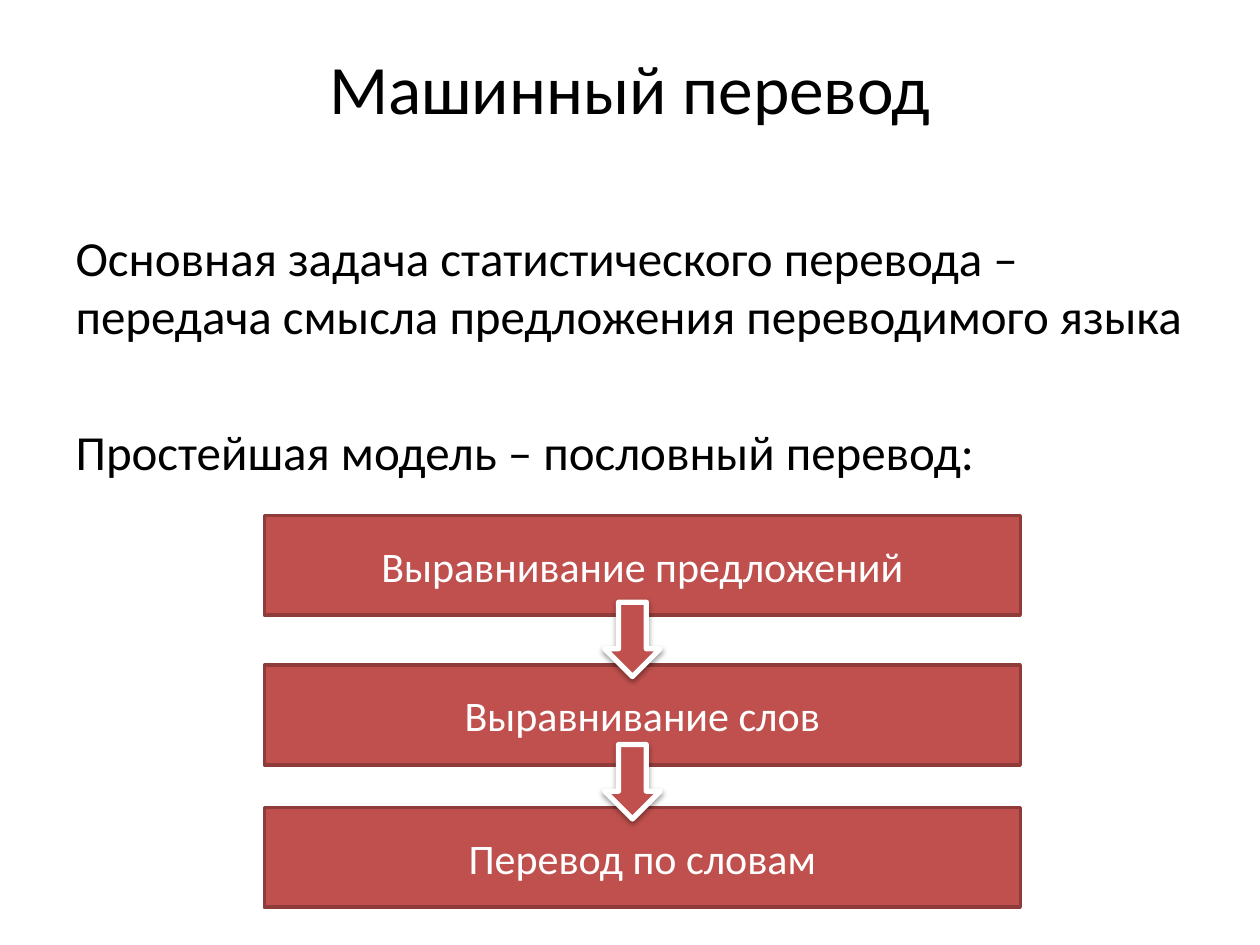
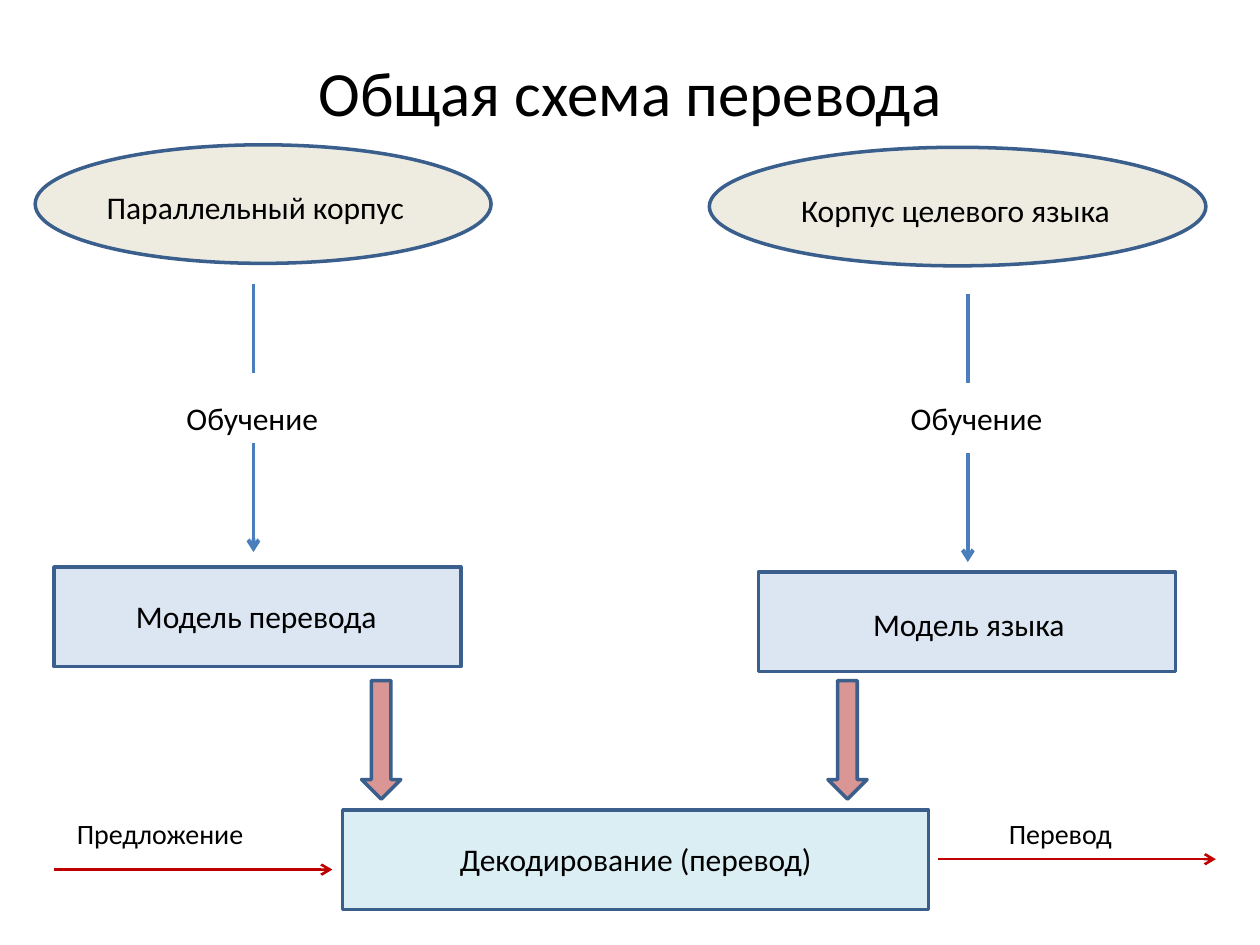
"""Builds two slides on statistical machine translation."""
from dataclasses import dataclass

from lxml import etree
from pptx import Presentation
from pptx.dml.color import RGBColor
from pptx.enum.shapes import MSO_CONNECTOR, MSO_SHAPE
from pptx.enum.text import MSO_ANCHOR, MSO_AUTO_SIZE, PP_ALIGN
from pptx.oxml.ns import qn
from pptx.util import Cm, Pt

RECTANGLE, ELLIPSE, DOWN_ARROW = MSO_SHAPE.RECTANGLE, MSO_SHAPE.OVAL, MSO_SHAPE.DOWN_ARROW
STRAIGHT = MSO_CONNECTOR.STRAIGHT
CENTER, LEFT = PP_ALIGN.CENTER, PP_ALIGN.LEFT
MIDDLE, TOP = MSO_ANCHOR.MIDDLE, MSO_ANCHOR.TOP
NO_AUTOFIT = MSO_AUTO_SIZE.NONE
TITLE_AND_BODY, TITLE_ONLY = 1, 5


@dataclass(frozen=True)
class Theme:
    """Colours, font and type sizes of the deck."""
    font: str = "Calibri"
    black: str = "000000"
    white: str = "FFFFFF"
    step: str = "C0504D"
    step_line: str = "8E3B39"
    corpus: str = "EEECE1"
    model: str = "DCE6F2"
    decoder: str = "DBEEF4"
    block_arrow: str = "D99694"
    outline: str = "3A5F8C"
    training: str = "4B7EBC"
    stream: str = "C00000"
    body_size: float = 28
    step_size: float = 24
    label_size: float = 18
    stream_size: float = 16


THEME = Theme()

WORD_MODEL = {
    "title": ("Машинный перевод", 39.6, 1.96),
    "body": [
        ("Основная задача статистического перевода – "
         "передача смысла предложения переводимого языка", 5.6),
        ("Простейшая модель – пословный перевод:", 44),
    ],
    "steps": [
        ("Выравнивание предложений", 10.39),
        ("Выравнивание слов", 13.41),
        ("Перевод по словам", 16.28),
    ],
}

SCHEME = {
    "title": ("Общая схема перевода", 36, 2.16),
    "nodes": [
        (ELLIPSE, THEME.corpus, (0.71, 2.92, 9.19, 2.39)),
        (ELLIPSE, THEME.corpus, (14.3, 2.97, 10.01, 2.39)),
        (RECTANGLE, THEME.model, (1.09, 11.43, 8.2, 2.01)),
        (RECTANGLE, THEME.model, (15.29, 11.53, 8.41, 2.01)),
        (RECTANGLE, THEME.decoder, (6.91, 16.33, 11.81, 2.01)),
        (DOWN_ARROW, THEME.block_arrow, (7.29, 13.72, 0.79, 2.39)),
        (DOWN_ARROW, THEME.block_arrow, (16.69, 13.72, 0.79, 2.39)),
    ],
    "labels": [
        ("Параллельный корпус", 1.9, 3.66, 6.58),
        ("Корпус целевого языка", 15.9, 3.73, 6.81),
        ("Обучение", 3.51, 7.92, 3.2),
        ("Обучение", 18.11, 7.92, 3.2),
        ("Модель перевода", 2.49, 11.91, 5.41),
        ("Модель языка", 17.35, 12.07, 4.42),
        ("Декодирование (перевод)", 9.02, 16.81, 7.7),
    ],
    "training": [(5.11, 5.72), (19.51, 5.92)],
    "streams": [
        ("Предложение", 1.3, 3.91, 1.09, 17.53),
        ("Перевод", 20.09, 2.62, 18.9, 17.32),
    ],
}


def style_text(frame, size, color=THEME.black, align=LEFT, anchor=TOP):
    """Formats every run of a text frame."""
    frame.vertical_anchor = anchor
    for para in frame.paragraphs:
        para.alignment = align
        for span in para.runs:
            span.font.name = THEME.font
            span.font.size = Pt(size)
            span.font.color.rgb = RGBColor.from_string(color)


def place(shape, left, top, width, height):
    """Moves and sizes a shape, in centimetres."""
    shape.left, shape.top = Cm(left), Cm(top)
    shape.width, shape.height = Cm(width), Cm(height)


def add_page(deck, layout, title):
    """Adds a page with a formatted title."""
    text, size, height = title
    page = deck.slides.add_slide(deck.slide_layouts[layout])
    place(page.shapes.title, 1.27, 0.76, 22.86, height)
    frame = page.shapes.title.text_frame
    frame.text = text
    frame.auto_size = NO_AUTOFIT
    style_text(frame, size, align=CENTER, anchor=MIDDLE)
    return page


def add_node(page, kind, bounds, fill, line, line_width=2):
    """Adds a filled and outlined shape without a shadow."""
    node = page.shapes.add_shape(kind, *map(Cm, bounds))
    node.shadow.inherit = False
    node.fill.solid()
    node.fill.fore_color.rgb = RGBColor.from_string(fill)
    node.line.color.rgb = RGBColor.from_string(line)
    node.line.width = Pt(line_width)
    return node


def add_soft_shadow(shape):
    """Gives a shape a soft shadow falling downwards."""
    effects = shape._element.spPr.find(qn("a:effectLst"))
    shadow = etree.SubElement(effects, qn("a:outerShdw"), blurRad="40000",
                              dist="20000", dir="5400000", rotWithShape="0")
    color = etree.SubElement(shadow, qn("a:srgbClr"), val=THEME.black)
    etree.SubElement(color, qn("a:alpha"), val="38000")


def add_line(page, start, end, color, width, arrow=True):
    """Adds a straight line, with an open arrowhead if wanted."""
    line = page.shapes.add_connector(STRAIGHT, *map(Cm, start + end))
    line.line.color.rgb = RGBColor.from_string(color)
    line.line.width = Pt(width)
    properties = line._element.spPr
    if arrow:
        etree.SubElement(properties.find(qn("a:ln")), qn("a:tailEnd"), type="arrow")
    etree.SubElement(properties, qn("a:effectLst"))


def add_label(page, text, bounds, size):
    """Adds a one-line text box."""
    box = page.shapes.add_textbox(*map(Cm, bounds))
    box.text_frame.text = text
    box.text_frame.word_wrap = False
    style_text(box.text_frame, size)


def fill_body(body, paragraphs):
    """Writes unbulleted paragraphs into the body placeholder."""
    place(body, 1.27, 4.45, 22.86, 12.57)
    frame = body.text_frame
    frame.auto_size = NO_AUTOFIT
    frame.text = "\n".join(text for text, _ in paragraphs)
    for para, (_, gap) in zip(frame.paragraphs, paragraphs):
        para.space_before = Pt(gap)
        properties = para._p.get_or_add_pPr()
        properties.set("marL", "0")
        properties.set("indent", "0")
        etree.SubElement(properties, qn("a:buNone"))
    style_text(frame, THEME.body_size)


def build_word_model(deck):
    """Builds the page on word-by-word translation."""
    page = add_page(deck, TITLE_AND_BODY, WORD_MODEL["title"])
    fill_body(page.placeholders[1], WORD_MODEL["body"])
    steps = WORD_MODEL["steps"]
    for text, top in steps:
        box = add_node(page, RECTANGLE, (5.33, top, 15.24, 2.01),
                       THEME.step, THEME.step_line)
        box.text_frame.text = text
        style_text(box.text_frame, THEME.step_size, THEME.white, CENTER, MIDDLE)
    for _, next_top in steps[1:]:
        arrow = add_node(page, DOWN_ARROW, (12.19, next_top - 1.27, 1.12, 1.5),
                         THEME.step, THEME.white, 3)
        add_soft_shadow(arrow)


def build_scheme(deck):
    """Builds the page with the translation scheme."""
    page = add_page(deck, TITLE_ONLY, SCHEME["title"])
    for kind, fill, bounds in SCHEME["nodes"]:
        add_node(page, kind, bounds, fill, THEME.outline)
    for text, left, top, width in SCHEME["labels"]:
        add_label(page, text, (left, top, width, 1.02), THEME.label_size)
    for x, top in SCHEME["training"]:
        add_line(page, (x, top), (x, top + 1.8), THEME.training, 2.25, arrow=False)
        add_line(page, (x, top + 3.22), (x, top + 5.41), THEME.training, 2.25)
    for text, left, width, start, y in SCHEME["streams"]:
        add_line(page, (start, y), (start + 5.61, y), THEME.stream, 1.5)
        add_label(page, text, (left, 16.33, width, 0.94), THEME.stream_size)


def main():
    """Builds and saves the deck."""
    deck = Presentation()
    deck.slide_width, deck.slide_height = Cm(25.4), Cm(19.05)
    build_word_model(deck)
    build_scheme(deck)
    deck.save("out.pptx")


if __name__ == "__main__":
    main()
